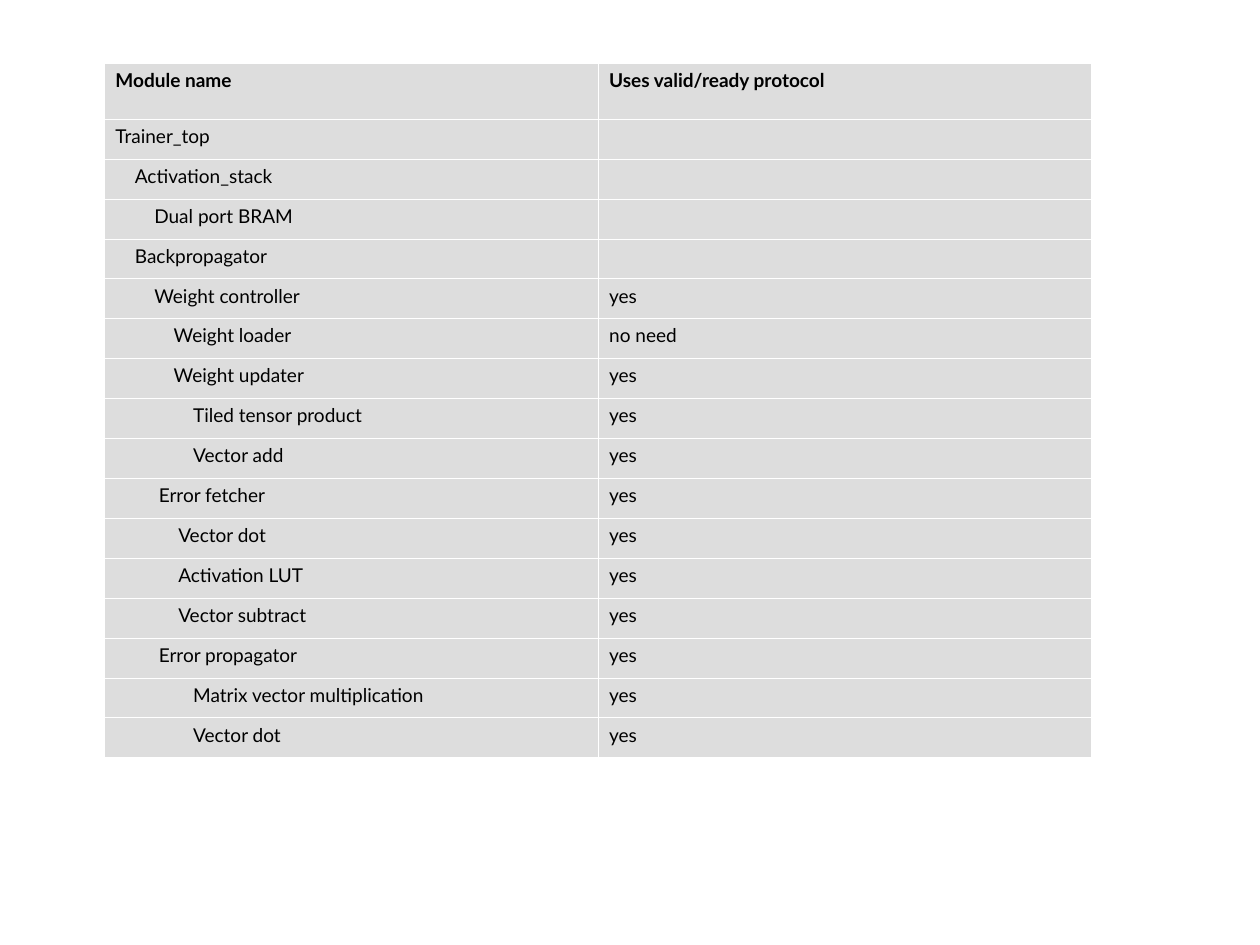
from lxml.etree import SubElement
from pptx import Presentation
from pptx.dml.color import RGBColor
from pptx.oxml.ns import qn
from pptx.util import Inches, Pt

CENTIMETRES_PER_INCH = 2.54
COLORS = {"text": "000000", "cell": "DDDDDD", "border": "FFFFFF"}
FONT = "Lato"
HEADINGS = ("Module name", "Uses valid/ready protocol")
MODULES = [
    (0, "Trainer_top", ""),
    (0.17, "Activation_stack", ""),
    (0.34, "Dual port BRAM", ""),
    (0.17, "Backpropagator", ""),
    (0.34, "Weight controller", "yes"),
    (0.51, "Weight loader", "no need"),
    (0.51, "Weight updater", "yes"),
    (0.68, "Tiled tensor product", "yes"),
    (0.68, "Vector add", "yes"),
    (0.38, "Error fetcher", "yes"),
    (0.55, "Vector dot", "yes"),
    (0.55, "Activation LUT", "yes"),
    (0.55, "Vector subtract", "yes"),
    (0.38, "Error propagator", "yes"),
    (0.68, "Matrix vector multiplication", "yes"),
    (0.68, "Vector dot", "yes"),
]


def write_text(frame, text, size=12, bold=False, color="text", indent=0):
    para = frame.paragraphs[0]
    if not text:
        SubElement(para._p, qn("a:endParaRPr"), sz=str(size * 100))
        return
    if indent:
        properties = para._p.get_or_add_pPr()
        properties.set("marL", str(Inches(indent)))
        properties.set("indent", "0")
    span = para.add_run()
    span.text = text
    span.font.name = FONT
    span.font.size = Pt(size)
    span.font.bold = bold
    span.font.color.rgb = RGBColor.from_string(COLORS[color])


def style_cell(cell):
    properties = cell._tc.get_or_add_tcPr()
    for side in ("a:lnL", "a:lnR", "a:lnT", "a:lnB"):
        line = SubElement(properties, qn(side), w=str(Pt(0.06)))
        fill = SubElement(line, qn("a:solidFill"))
        SubElement(fill, qn("a:srgbClr"), val=COLORS["border"])
    cell.fill.solid()
    cell.fill.fore_color.rgb = RGBColor.from_string(COLORS["cell"])
    cell.margin_left = cell.margin_right = Inches(0.1)
    cell.margin_top = cell.margin_bottom = Inches(0.05)


def add_module_table(page, left, top, width, height, header_height=0.49):
    rows = [(0, *HEADINGS)] + MODULES
    box = page.shapes.add_table(
        len(rows), len(HEADINGS),
        Inches(left), Inches(top), Inches(width), Inches(height),
    )
    table = box.table
    table.first_row = False
    table.horz_banding = False
    for column in table.columns:
        column.width = Inches(width / len(HEADINGS))
    row_height = (height - header_height) / len(MODULES)
    for number, (indent, name, protocol) in enumerate(rows):
        is_header = number == 0
        table.rows[number].height = Inches(header_height if is_header else row_height)
        for column, (text, inset) in enumerate(((name, indent), (protocol, 0))):
            cell = table.cell(number, column)
            style_cell(cell)
            write_text(cell.text_frame, text, bold=is_header, indent=inset)


def main():
    deck = Presentation()
    deck.slide_width = Inches(28 / CENTIMETRES_PER_INCH)
    deck.slide_height = Inches(21 / CENTIMETRES_PER_INCH)
    page = deck.slides.add_slide(deck.slide_layouts[6])
    add_module_table(page, 0.91, 0.55, 8.64, 6.08)
    deck.save("out.pptx")


if __name__ == "__main__":
    main()
